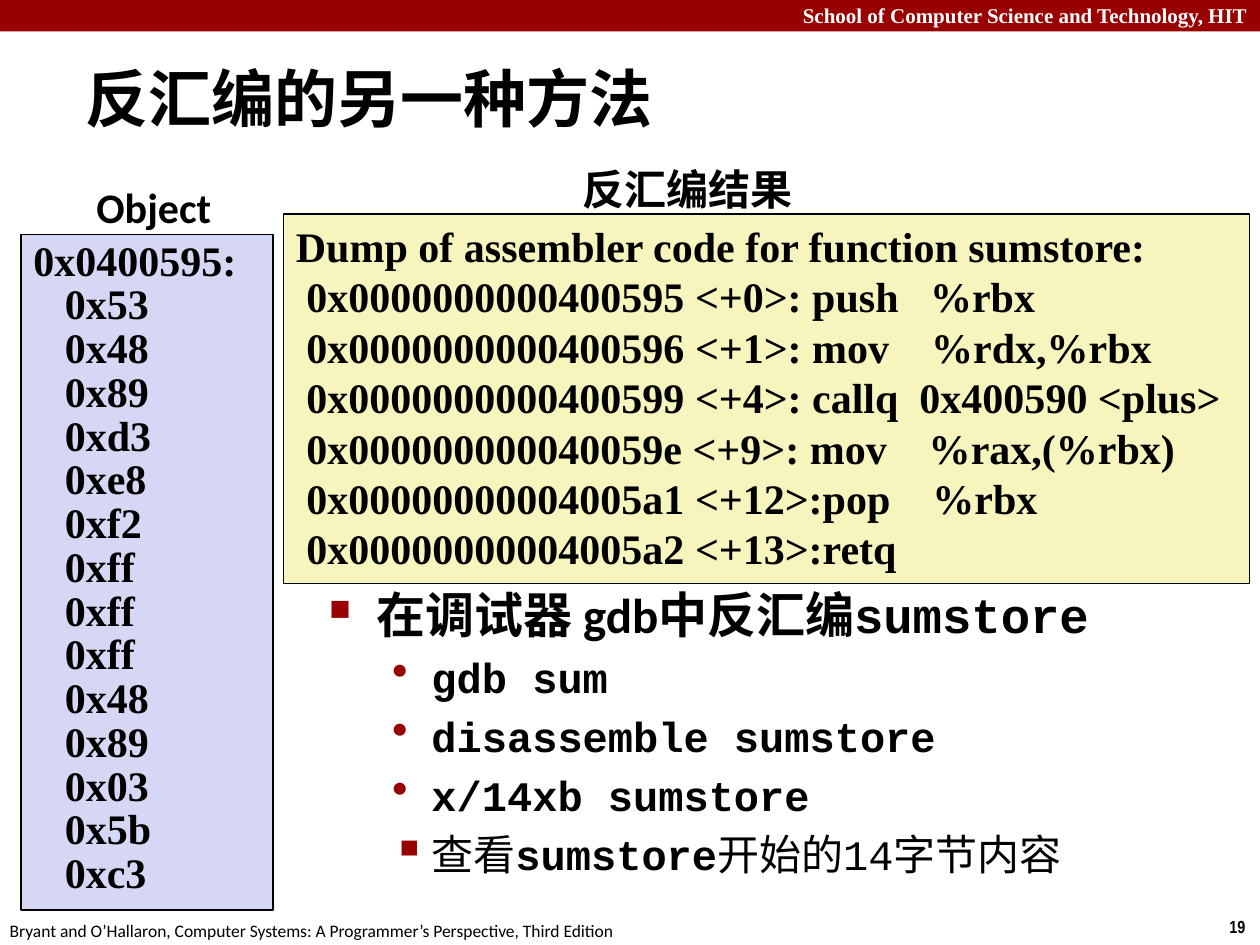
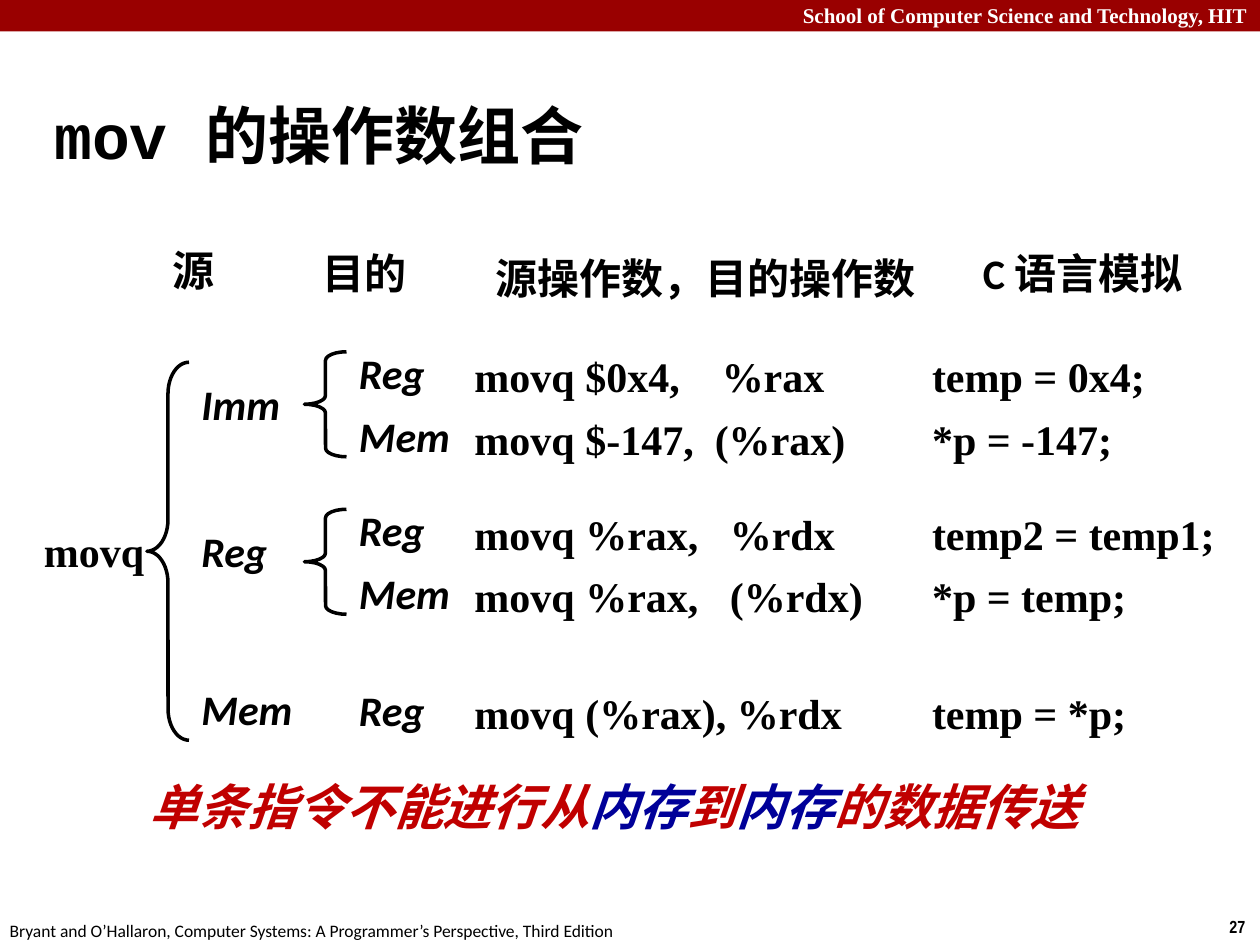
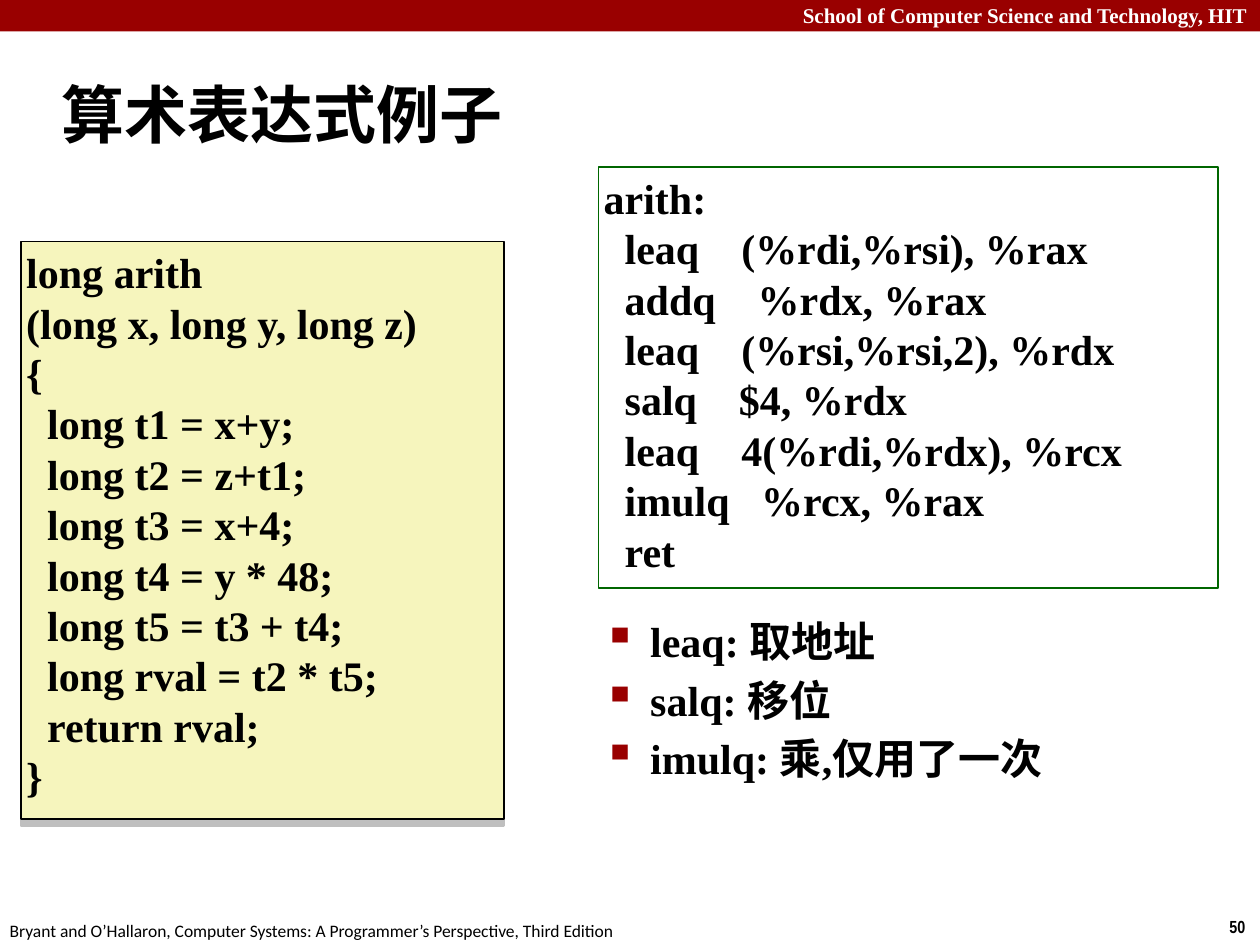
from lxml import etree
from pptx import Presentation
from pptx.dml.color import RGBColor
from pptx.enum.shapes import MSO_SHAPE
from pptx.enum.text import MSO_ANCHOR, PP_ALIGN
from pptx.oxml.ns import qn
from pptx.util import Pt

RECTANGLE, LEFT_BRACE = MSO_SHAPE.RECTANGLE, MSO_SHAPE.LEFT_BRACE
TOP, MIDDLE = MSO_ANCHOR.TOP, MSO_ANCHOR.MIDDLE
LEFT, CENTER, RIGHT = PP_ALIGN.LEFT, PP_ALIGN.CENTER, PP_ALIGN.RIGHT
SANS, SERIF, MONO, NARROW = "Calibri", "Times New Roman", "Courier New", "Arial Narrow"

COLORS = {
    "band": "990000", "white": "FFFFFF", "black": "000000", "code": "F6F5BD",
    "object": "D6D6F5", "assembly": "006600", "warning": "C00000",
    "memory": "000099", "shadow": "808080",
}

SCHOOL = "School of Computer Science and Technology, HIT"
BOOK = "Bryant and O’Hallaron, Computer Systems: A Programmer’s Perspective, Third Edition"

OBJECT_BYTES = ["0x53", "0x48", "0x89", "0xd3", "0xe8", "0xf2", "0xff", "0xff",
                "0xff", "0x48", "0x89", "0x03", "0x5b", "0xc3"]
DUMP = """Dump of assembler code for function sumstore:
 0x0000000000400595 <+0>: push   %rbx
 0x0000000000400596 <+1>: mov    %rdx,%rbx
 0x0000000000400599 <+4>: callq  0x400590 <plus>
 0x000000000040059e <+9>: mov    %rax,(%rbx)
 0x00000000004005a1 <+12>:pop    %rbx
 0x00000000004005a2 <+13>:retq""".split("\n")

MONO_BOLD = {"font": MONO, "bold": True}
# bullet: character, size in percent, left margin, hanging indent
SQUARE = ("■", 60, 27, 27)
DOT = ("•", 110, 58.5, 22.5)
SMALL_SQUARE = ("▪", 110, 58.5, 22.5)
WIDE_SQUARE = ("▪", 110, 58.5, 27)

GDB_STEPS = [
    (SQUARE, [("在调试器 gdb中", {"size": 28, "bold": True}),
              ("反汇编sumstore", {"size": 28, **MONO_BOLD})]),
    (DOT, [("gdb sum", MONO_BOLD)]),
    (DOT, [("disassemble sumstore", MONO_BOLD)]),
    (DOT, [("x/14xb sumstore", MONO_BOLD)]),
    (SMALL_SQUARE, [("查看", {"bold": False}), ("sumstore", MONO_BOLD),
                    ("开始的14字节内容", {"font": MONO, "bold": False})]),
]

SOURCES = [("Imm", 213), ("Reg", 297), ("Mem", 387)]
# top, destination, instruction, C statement
OPERAND_ROWS = [
    (195, "Reg", "movq $0x4,    %rax", "temp = 0x4;"),
    (231, "Mem", "movq $-147,  (%rax)", "*p = -147;"),
    (285, "Reg", "movq %rax,   %rdx", "temp2 = temp1;"),
    (320.5, "Mem", "movq %rax,   (%rdx)", "*p = temp;"),
    (387.5, "Reg", "movq (%rax), %rdx", "temp = *p;"),
]
OPERAND_HEADS = [("源", 91.5, 136, 39), ("目的", 177, 138, 63.5),
                 ("C 语言模拟", 554.5, 138, 129.5),
                 ("源操作数，目的操作数", 276, 140.5, 260.5)]
# left, top, width, height, curl
BRACES = [(84, 207, 24, 216, 0.75), (174, 201, 24, 60, 0.208), (174, 291, 24, 60, 0.208)]
WARNING = [("单条指令不能进行从", "warning"), ("内存", "memory"), ("到", "warning"),
           ("内存", "memory"), ("的数据传送", "warning")]

ARITH_C = """long arith
(long x, long y, long z)
{
  long t1 = x+y;
  long t2 = z+t1;
  long t3 = x+4;
  long t4 = y * 48;
  long t5 = t3 + t4;
  long rval = t2 * t5;
  return rval;
}""".split("\n")
ARITH_ASSEMBLY = """arith:
  leaq    (%rdi,%rsi), %rax
  addq    %rdx, %rax
  leaq    (%rsi,%rsi,2), %rdx
  salq    $4, %rdx
  leaq    4(%rdi,%rdx), %rcx
  imulq   %rcx, %rax
  ret""".split("\n")
NOTES = ["leaq: 取地址", "salq: 移位", "imulq: 乘,仅用了一次"]


def color(name):
    return RGBColor.from_string(COLORS[name])


def add_span(para, text, size=24, font=SANS, bold=True, italic=False, ink="black"):
    span = para.add_run()
    span.text = text
    span.font.size = Pt(size)
    span.font.name = font
    span.font.bold = bold
    span.font.italic = italic
    span.font.color.rgb = color(ink)


def next_paragraph(frame, index):
    return frame.paragraphs[0] if index == 0 else frame.add_paragraph()


def add_box(page, place, spans, align=LEFT, anchor=TOP, wrap=True, margins=(7.2, 3.6)):
    """Add a text box of one paragraph; spans are (text, style) pairs."""
    box = page.shapes.add_textbox(*map(Pt, place))
    frame = box.text_frame
    frame.word_wrap = wrap
    frame.vertical_anchor = anchor
    frame.margin_left = frame.margin_right = Pt(margins[0])
    frame.margin_top = frame.margin_bottom = Pt(margins[1])
    para = frame.paragraphs[0]
    para.alignment = align
    for text, style in spans:
        add_span(para, text, **style)
    return box


def add_label(page, text, left, top, width, height=36, **style):
    add_box(page, (left, top, width, height), [(text, style)])


def add_shape(page, preset, place, fill=None, line=None, weight=1):
    shape = page.shapes.add_shape(preset, *map(Pt, place))
    shape.shadow.inherit = False
    if fill:
        shape.fill.solid()
        shape.fill.fore_color.rgb = color(fill)
    else:
        shape.fill.background()
    if line:
        shape.line.color.rgb = color(line)
        shape.line.width = Pt(weight)
    else:
        shape.line.fill.background()
    return shape


def add_code(page, place, lines, fill=None, line="black", pitch=28.8, margins=(7.2, 3.6)):
    panel = add_shape(page, RECTANGLE, place, fill, line)
    frame = panel.text_frame
    frame.word_wrap = True
    frame.vertical_anchor = TOP
    frame.margin_left = frame.margin_right = Pt(margins[0])
    frame.margin_top = frame.margin_bottom = Pt(margins[1])
    for index, text in enumerate(lines):
        para = next_paragraph(frame, index)
        para.alignment = LEFT
        para.line_spacing = Pt(pitch)
        add_span(para, text, font=SERIF)
    return panel


def add_bullet(para, char, percent, margin, hanging):
    props = para._p.get_or_add_pPr()
    props.set("marL", str(Pt(margin)))
    props.set("indent", str(-Pt(hanging)))
    tint = etree.SubElement(props, qn("a:buClr"))
    etree.SubElement(tint, qn("a:srgbClr"), val=COLORS["band"])
    etree.SubElement(props, qn("a:buSzPct"), val=str(percent * 1000))
    etree.SubElement(props, qn("a:buChar"), char=char)


def add_bullets(page, place, items):
    box = page.shapes.add_textbox(*map(Pt, place))
    frame = box.text_frame
    frame.word_wrap = True
    for index, (bullet, spans) in enumerate(items):
        para = next_paragraph(frame, index)
        if index:
            para.space_before = Pt(4.8)
        add_bullet(para, *bullet)
        for text, style in spans:
            add_span(para, text, **style)


def drop_shadow(shape):
    effects = shape._element.spPr.find(qn("a:effectLst"))
    shadow = etree.SubElement(effects, qn("a:outerShdw"), dist=str(Pt(4)),
                              dir="5400000", algn="ctr", rotWithShape="0")
    tint = etree.SubElement(shadow, qn("a:srgbClr"), val=COLORS["shadow"])
    etree.SubElement(tint, qn("a:alpha"), val="50000")


def add_page(deck, number, title_place, title):
    """Add a slide with the shared band, footer, page number and title."""
    page = deck.slides.add_slide(deck.slide_layouts[6])
    add_shape(page, RECTANGLE, (0, 0, 720, 18), "band")
    add_box(page, (0, -2, 720, 22),
            [(SCHOOL, {"size": 12, "font": SERIF, "ink": "white"})], align=RIGHT)
    add_box(page, (695.5, 520, 24.5, 19.5),
            [(str(number), {"size": 10, "font": NARROW})], wrap=False)
    add_box(page, (-1.5, 522, 366, 19.5), [(BOOK, {"size": 10, "bold": False})], wrap=False)
    add_box(page, title_place, [(text, {"size": 36, "font": font}) for text, font in title],
            anchor=MIDDLE)
    return page


def build_disassembly(deck):
    page = add_page(deck, 19, (42, 33, 492, 45), [("反汇编的另一种方法", SANS)])
    add_label(page, "反汇编结果", 326, 90, 205, 32)
    add_code(page, (162, 122.5, 552, 211), DUMP, "code")
    add_bullets(page, (181, 330.5, 496, 177), GDB_STEPS)
    add_label(page, "Object", 48, 100, 103, 32)
    add_code(page, (12, 134, 144, 386),
             ["0x0400595:"] + ["   " + byte for byte in OBJECT_BYTES], "object", pitch=25)


def build_operands(deck):
    page = add_page(deck, 27, (24, 54, 564.5, 45), [("mov ", MONO), ("的操作数组合", SANS)])
    add_box(page, (72, 443.5, 558, 42),
            [(text, {"size": 28, "italic": True, "ink": ink}) for text, ink in WARNING],
            align=CENTER, margins=(0, 0))
    for head in OPERAND_HEADS:
        add_label(page, *head)
    add_label(page, "movq", 18, 297, 78, font=SERIF)
    for source, top in SOURCES:
        add_label(page, source, 108, top, 69, italic=True)
    for top, destination, instruction, statement in OPERAND_ROWS:
        add_label(page, destination, 198, top, 69, italic=True)
        add_label(page, instruction, 264, top + 2, 239, font=SERIF)
        add_label(page, statement, 525.5, top + 2, 182, font=SERIF)
    for *place, curl in BRACES:
        brace = add_shape(page, LEFT_BRACE, place, line="black", weight=2)
        brace.adjustments[0] = curl


def build_arithmetic(deck):
    page = add_page(deck, 50, (28, 34.5, 692, 60), [("算术表达式例子", SANS)])
    add_bullets(page, (306, 348, 402, 150.5),
                [(WIDE_SQUARE, [(note, {"font": SERIF})]) for note in NOTES])
    add_code(page, (342, 95.5, 354, 240.5), ARITH_ASSEMBLY, line="assembly", margins=(3, 3))
    panel = add_code(page, (12, 138, 276, 330), ARITH_C, "code", margins=(3, 3))
    drop_shadow(panel)


def main():
    deck = Presentation()
    deck.slide_width, deck.slide_height = Pt(720), Pt(540)
    build_disassembly(deck)
    build_operands(deck)
    build_arithmetic(deck)
    deck.save("out.pptx")


if __name__ == "__main__":
    main()
